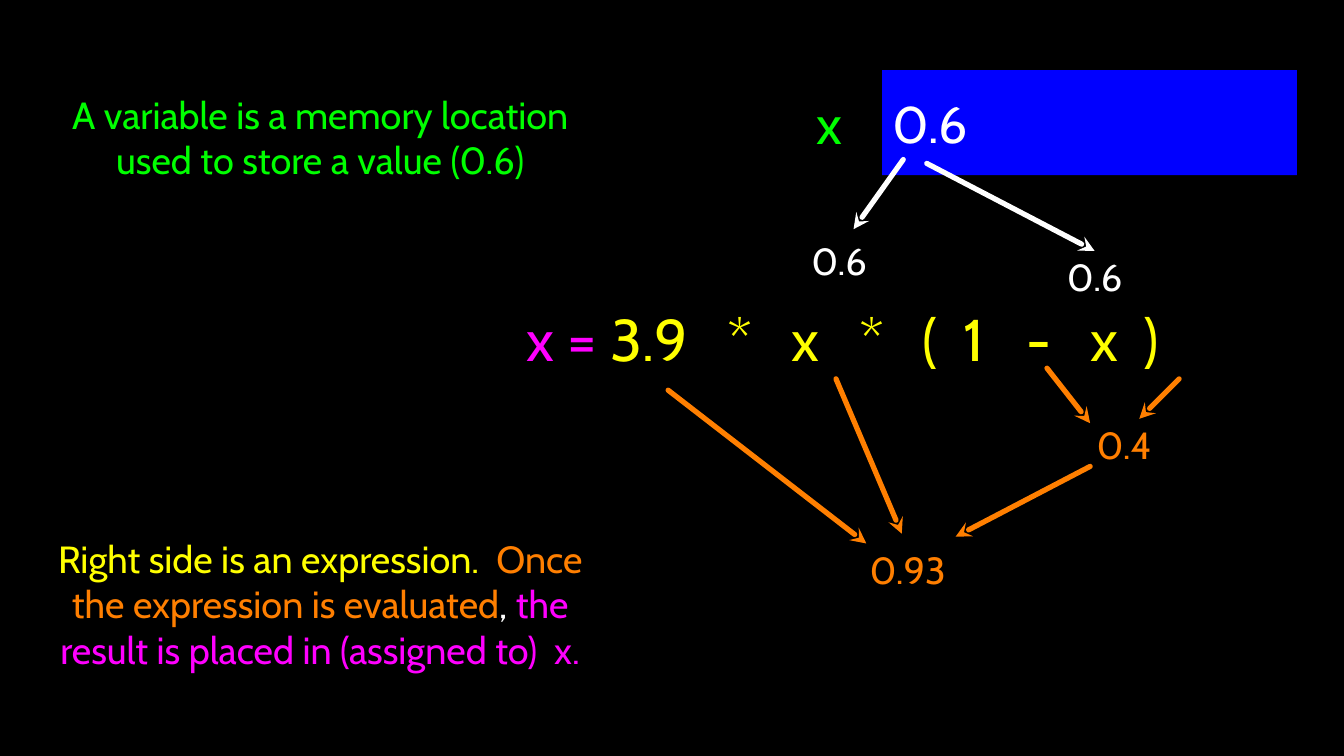
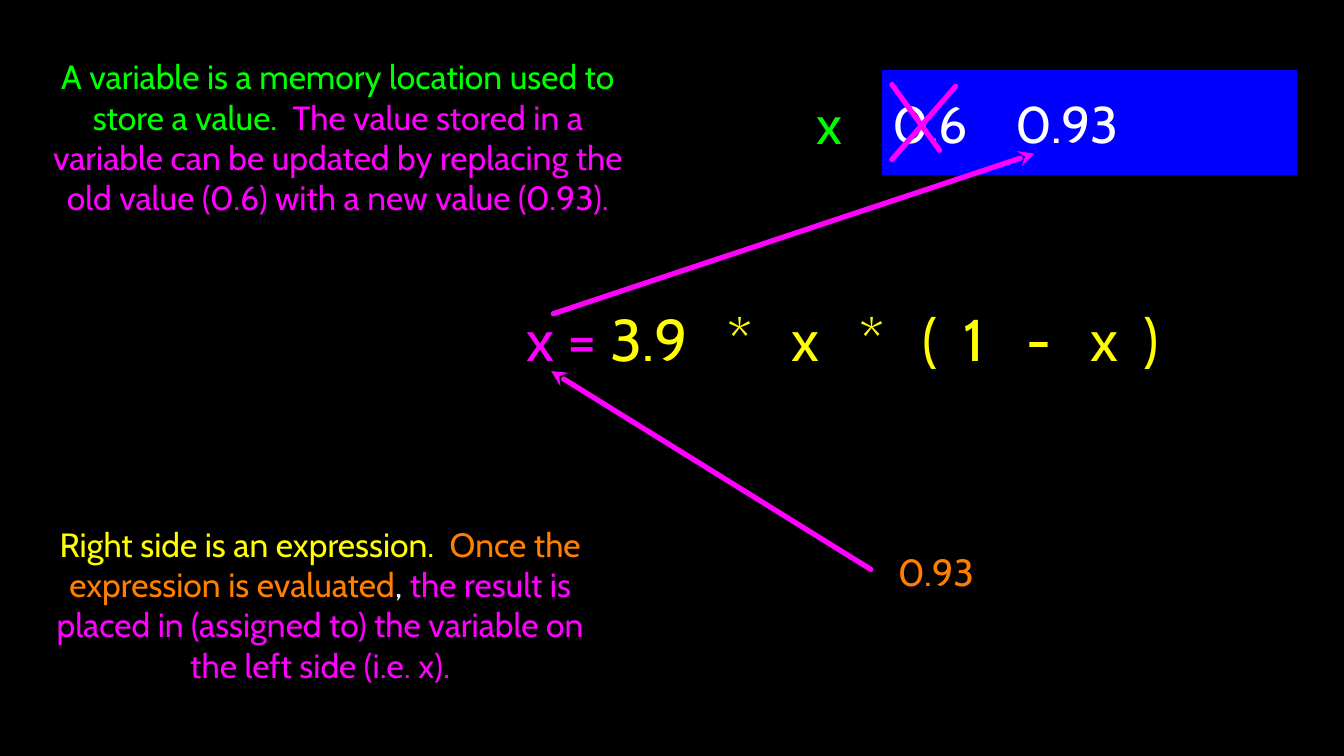
import pptx
import pptx.dml.color
import pptx.enum.shapes
import pptx.enum.text
import pptx.oxml.ns
import pptx.util
from lxml import etree

Cm = pptx.util.Cm
Pt = pptx.util.Pt
ALIGN = pptx.enum.text.PP_ALIGN

FONT = "Cabin"
BLACK, WHITE, BLUE = "000000", "FFFFFF", "0000FF"
GREEN, YELLOW, ORANGE, MAGENTA = "00FF00", "FFFF00", "FF7F00", "FF00FF"
NOTE_LEFT, NOTE_WIDTH = 1.63, 18.26
VALUE_HEIGHT = 1.73
EXPRESSION = ["3.9", "*", "x", "*", "(", "1", "-", "x", ")"]
EXPRESSION_TABS = [6.77, 8.9, 11.2, 13.33, 14.7, 16.8, 18.95, 20.75]
MEMORY_TABS = [4.13]


def rgb(colour):
    return pptx.dml.color.RGBColor.from_string(colour)


def add_xml(parent, tag, **attributes):
    return etree.SubElement(parent, pptx.oxml.ns.qn(tag), **attributes)


class Deck:
    """Holds the shared style and the slide being built."""

    def __init__(self):
        self.presentation = pptx.Presentation()
        self.presentation.slide_width = Cm(45.16)
        self.presentation.slide_height = Cm(25.4)
        self.slide = None

    def new_slide(self):
        self.slide = self.presentation.slides.add_slide(self.presentation.slide_layouts[6])
        background = self.slide.background.fill
        background.solid()
        background.fore_color.rgb = rgb(BLACK)

    def set_text(self, shape, runs, size, align, tabs=(), indent=0):
        frame = shape.text_frame
        frame.word_wrap = True
        frame.vertical_anchor = pptx.enum.text.MSO_ANCHOR.MIDDLE
        frame.margin_left = Cm(indent)
        frame.margin_top = frame.margin_right = frame.margin_bottom = 0
        paragraph = frame.paragraphs[0]
        paragraph.alignment = align
        if tabs:
            stops = add_xml(paragraph._p.get_or_add_pPr(), "a:tabLst")
            for position in tabs:
                add_xml(stops, "a:tab", pos=str(Cm(position)), algn="l")
        paragraph.font.name = FONT
        paragraph.font.size = Pt(size)
        for words, colour in runs:
            run = paragraph.add_run()
            run.text = words
            run.font.color.rgb = rgb(colour)

    def text(self, left, top, width, height, runs, size=36, align=ALIGN.CENTER, tabs=()):
        box = self.slide.shapes.add_textbox(Cm(left), Cm(top), Cm(width), Cm(height))
        self.set_text(box, runs, size, align, tabs)

    def note(self, top, height, runs, size, width=NOTE_WIDTH):
        self.text(NOTE_LEFT, top, width, height, runs, size)

    def value(self, left, top, width, number, colour):
        self.text(left, top, width, VALUE_HEIGHT, [(number, colour)])

    def memory(self, values):
        cell = self.slide.shapes.add_shape(
            pptx.enum.shapes.MSO_SHAPE.RECTANGLE, Cm(29.64), Cm(2.36), Cm(13.94), Cm(3.53))
        cell.shadow.inherit = False
        cell.fill.solid()
        cell.fill.fore_color.rgb = rgb(BLUE)
        cell.line.fill.background()
        self.set_text(cell, [("\t".join(values), WHITE)], 49, ALIGN.LEFT, MEMORY_TABS, indent=0.35)
        self.text(27.25, 2.92, 1.24, 2.39, [("x", GREEN)], 52)

    def assignment(self):
        runs = [("x = ", MAGENTA), ("\t".join(EXPRESSION), YELLOW)]
        self.text(17.68, 10.08, 24.56, 2.54, runs, 56, ALIGN.LEFT, EXPRESSION_TABS)

    def line(self, start, end, colour, arrow=True):
        connector = self.slide.shapes.add_connector(
            pptx.enum.shapes.MSO_CONNECTOR.STRAIGHT, *map(Cm, start + end))
        connector.line.color.rgb = rgb(colour)
        connector.line.width = Pt(5)
        outline = connector.line._get_or_add_ln()
        outline.set("cap", "rnd")
        if arrow:
            add_xml(outline, "a:tailEnd", type="stealth")
        add_xml(connector._element.spPr, "a:effectLst")


def build_evaluation(deck):
    deck.new_slide()
    deck.assignment()
    deck.memory(["0.6"])
    deck.note(17.98, 4.62, [
        ("Right side is an expression.  ", YELLOW),
        ("Once the expression is evaluated", ORANGE),
        (", ", WHITE),
        ("the result is placed in (assigned to)  x.", MAGENTA),
    ], 36)
    deck.note(3.02, 3.18, [
        ("A variable is a memory location used to store a value (0.6)", GREEN),
    ], 36)
    for left, top, width, number, colour in [
        (26.95, 7.9, 2.49, "0.6", WHITE),
        (35.31, 8.43, 2.95, "0.6", WHITE),
        (36.3, 14.05, 2.95, "0.4", ORANGE),
        (28.09, 18.26, 4.83, "0.93", ORANGE),
    ]:
        deck.value(left, top, width, number, colour)
    for start, end, colour in [
        ((30.35, 5.36), (28.68, 7.7), WHITE),
        ((31.14, 5.49), (36.78, 8.43), WHITE),
        ((22.45, 13.11), (29.11, 18.26), ORANGE),
        ((28.09, 12.73), (30.3, 17.93), ORANGE),
        ((36.63, 15.67), (32.11, 18.03), ORANGE),
        ((39.62, 12.73), (38.28, 14.07), ORANGE),
        ((35.18, 12.37), (36.63, 14.22), ORANGE),
    ]:
        deck.line(start, end, colour)


def build_update(deck):
    deck.new_slide()
    deck.assignment()
    deck.memory(["0.6", "0.93"])
    deck.note(17.27, 6.07, [
        ("Right side is an expression.  ", YELLOW),
        ("Once the expression is evaluated", ORANGE),
        (", ", WHITE),
        ("the result is placed in (assigned to) the variable on the left side (i.e. x).", MAGENTA),
    ], 32)
    deck.note(0.84, 7.52, [
        ("A variable is a memory location used to store a value.  ", GREEN),
        ("The value stored in a variable can be updated by replacing the old value (0.6) "
         "with a new value (0.93).", MAGENTA),
    ], 32, width=19.46)
    deck.value(29.59, 18.34, 3.73, "0.93", ORANGE)
    for start, end, arrow in [
        ((29.26, 19.13), (18.52, 12.47), True),
        ((18.59, 10.54), (34.75, 5.16), True),
        ((32.11, 2.9), (29.97, 5.36), False),
        ((29.97, 2.84), (31.57, 5.05), False),
    ]:
        deck.line(start, end, MAGENTA, arrow)


def main():
    deck = Deck()
    build_evaluation(deck)
    build_update(deck)
    deck.presentation.save("out.pptx")


if __name__ == "__main__":
    main()
